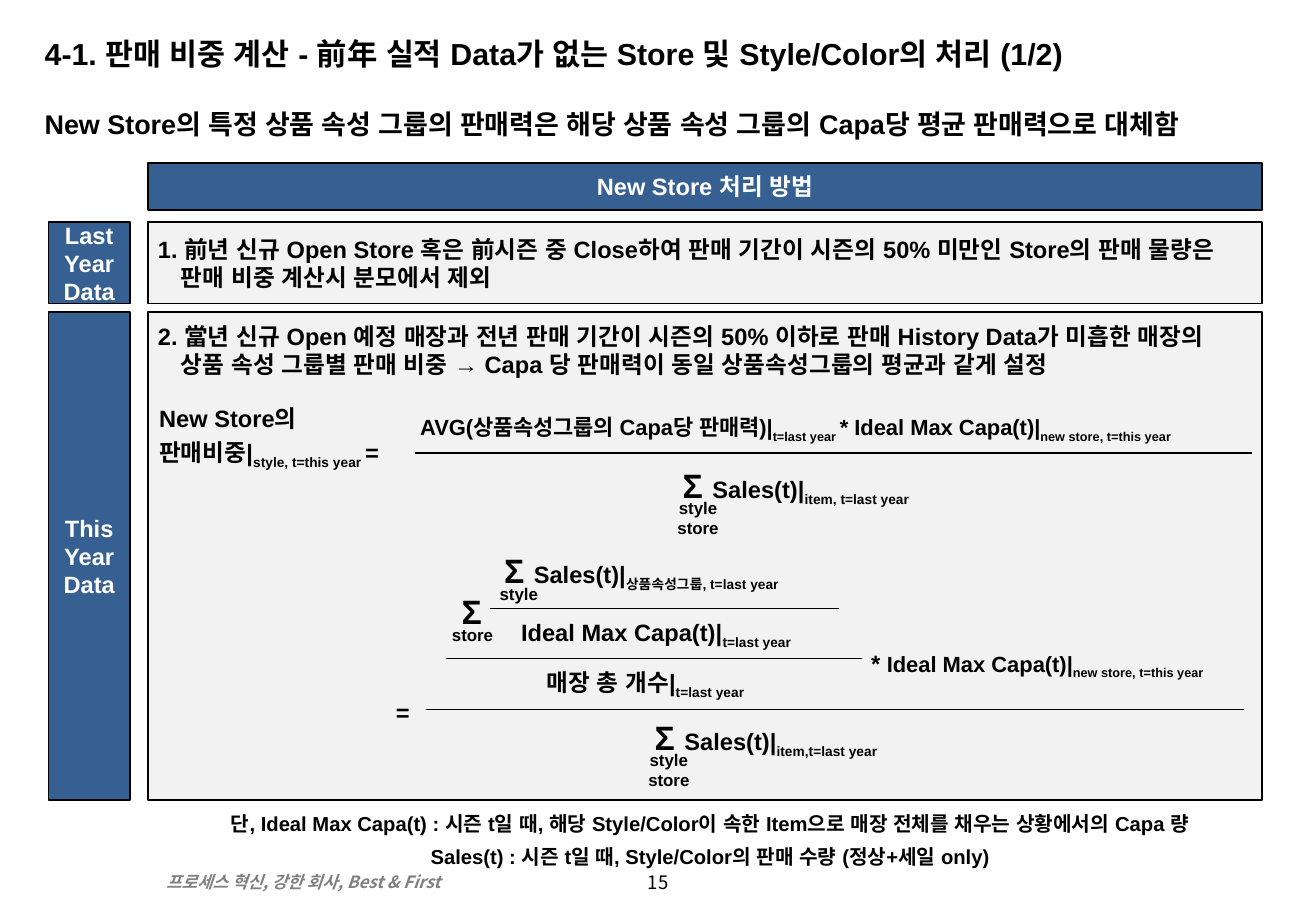
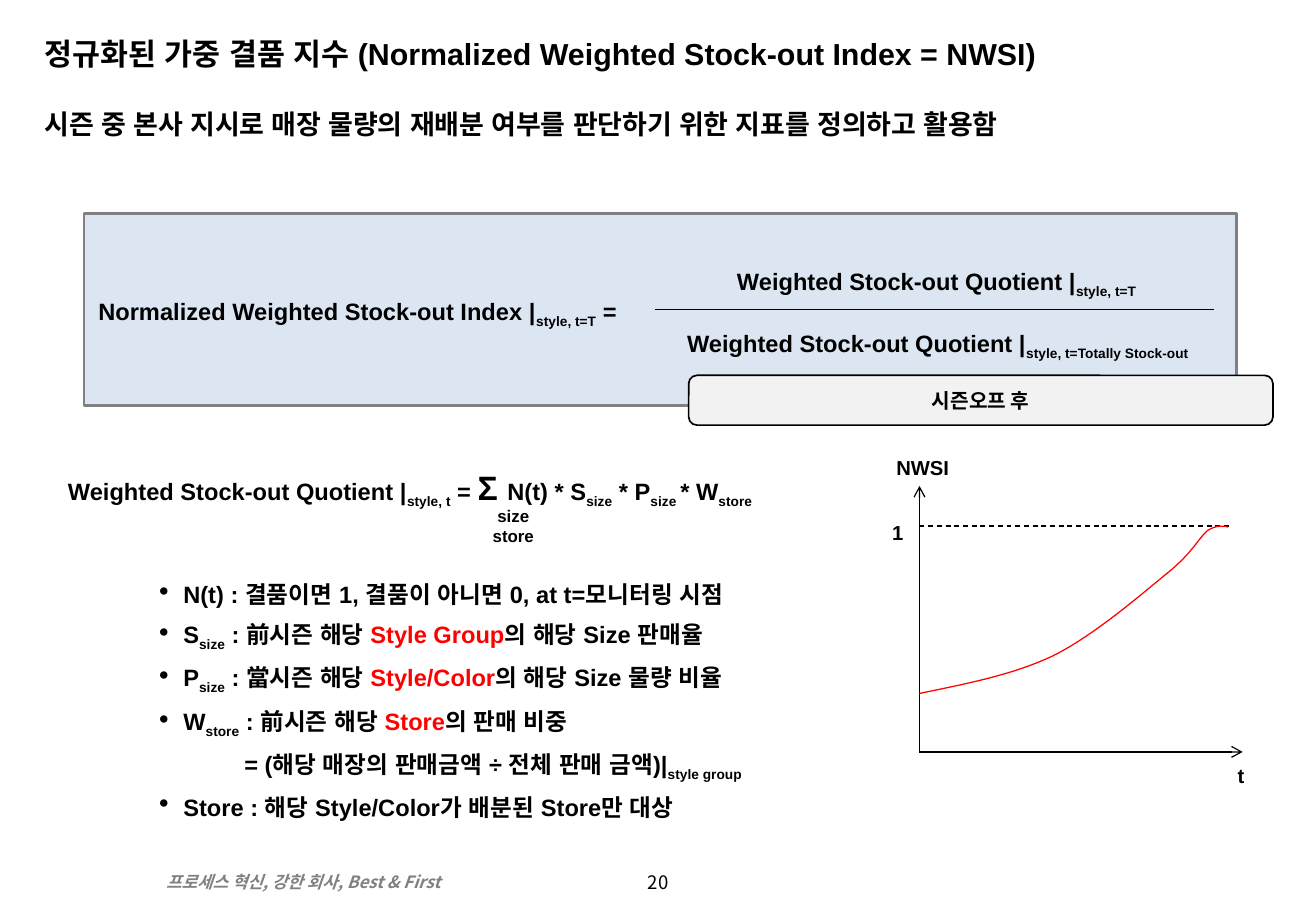
from dataclasses import dataclass
from typing import Any, NamedTuple

from lxml.etree import SubElement
from pptx import Presentation
from pptx.dml.color import RGBColor
from pptx.enum.dml import MSO_LINE_DASH_STYLE as Dash
from pptx.enum.shapes import MSO_CONNECTOR as Connector, MSO_SHAPE as Preset
from pptx.enum.text import MSO_ANCHOR as Anchor, PP_ALIGN as Align
from pptx.oxml.ns import qn
from pptx.util import Pt


@dataclass(frozen=True)
class Theme:
    latin: str = "Arial"
    korean: str = "Noto Sans CJK KR"
    ink: str = "000000"
    paper: str = "FFFFFF"
    navy: str = "376092"
    panel: str = "F2F2F2"
    pale_blue: str = "DCE6F2"
    grey: str = "808080"
    red: str = "FF0000"
    title: float = 18
    lead: float = 16
    body: float = 14
    formula: float = 13
    note: float = 12
    page: float = 11
    small: float = 10
    sigma: float = 20


THEME = Theme()


class Run(NamedTuple):
    text: str
    size: float | None = None
    color: str | None = None
    sub: bool = False


class Para(NamedTuple):
    runs: list[Run]
    left: float = 0
    hanging: float = 0
    bullet: bool = False


class Place(NamedTuple):
    left: float
    top: float
    width: float
    height: float


@dataclass(frozen=True)
class Style:
    size: float = THEME.body
    color: str = THEME.ink
    font: str = THEME.latin
    bold: bool = True
    italic: bool = False
    align: Any = Align.LEFT
    anchor: Any = Anchor.MIDDLE
    insets: tuple[float, float, float, float] = (2.9, 0, 2.9, 0)
    line_spacing: float | None = 1.2
    before: bool = True


WIDE = (7.2, 3.6, 7.2, 3.6)
TIGHT = (3.6, 0, 0, 0)
LABEL = (4.3, 0, 4.3, 0)
EQUATION = Style()
CENTERED = Style(align=Align.CENTER)
LIMITS = Style(THEME.small, align=Align.CENTER, insets=TIGHT, line_spacing=None, before=False)
NOTE = Style(THEME.note, align=Align.CENTER, insets=TIGHT)
TITLE = Style(THEME.title, anchor=Anchor.TOP, insets=WIDE, line_spacing=None, before=False)
LEAD = Style(THEME.lead, anchor=Anchor.TOP, insets=WIDE, line_spacing=None)
BAND = Style(color=THEME.paper, align=Align.CENTER, insets=LABEL, line_spacing=None, before=False)
CALLOUT = Style(THEME.note, font=THEME.korean, align=Align.CENTER, insets=LABEL,
                line_spacing=None, before=False)
RULE = Style(insets=(5.8, 0, 5.8, 0), line_spacing=None, before=False)
TOP_RULE = Style(anchor=Anchor.TOP, insets=(5.8, 5.8, 5.8, 0), line_spacing=None, before=False)
MOTTO = Style(THEME.small, THEME.grey, THEME.korean, italic=True, anchor=Anchor.TOP,
              insets=WIDE, line_spacing=None, before=False)
PAGE = Style(THEME.page, font=THEME.korean, bold=False, align=Align.CENTER, insets=WIDE,
             line_spacing=0.8, before=False)
LIST = Style(anchor=Anchor.TOP)
EQUALS = Style(anchor=Anchor.TOP, insets=WIDE)

EQUATION_HEIGHT = 33.8
HANG = 13.7
BULLET_HANG = 14.4
SIGMA = Run("Σ ", THEME.sigma)


def sub(text: str, size: float | None = None) -> Run:
    return Run(text, size, sub=True)


def apply(target: Any, values: dict[str, Any]) -> None:
    for key, value in values.items():
        setattr(target, key, value)


def lines(*texts: str) -> list[Para]:
    return [Para([Run(text)]) for text in texts]


def write(shape: Any, paras: list[Para], style: Style) -> None:
    frame = shape.text_frame
    sides = ("margin_left", "margin_top", "margin_right", "margin_bottom")
    apply(frame, {"word_wrap": True, "vertical_anchor": style.anchor,
                  **{side: Pt(inset) for side, inset in zip(sides, style.insets)}})
    for index, para in enumerate(paras):
        paragraph = frame.add_paragraph() if index else frame.paragraphs[0]
        apply(paragraph, {"alignment": style.align, "line_spacing": style.line_spacing})
        props = paragraph._p.get_or_add_pPr()
        props.set("marL", str(Pt(para.left)))
        props.set("indent", str(Pt(-para.hanging)))
        if style.before:
            SubElement(SubElement(props, qn("a:spcBef")), qn("a:spcPct")).set("val", "20000")
        if para.bullet:
            SubElement(props, qn("a:buSzPct")).set("val", "120000")
            SubElement(props, qn("a:buChar")).set("char", "•")
        for part in para.runs:
            run = paragraph.add_run()
            run.text = part.text
            apply(run.font, {"size": Pt(part.size or style.size), "bold": style.bold,
                             "italic": style.italic, "name": style.font})
            run.font.color.rgb = RGBColor.from_string(part.color or style.color)
            run_props = run._r.get_or_add_rPr()
            SubElement(run_props, qn("a:ea")).set("typeface", style.font)
            if part.sub:
                run_props.set("baseline", "-25000")


def text(slide: Any, place: Place, paras: list[Para], style: Style) -> None:
    write(slide.shapes.add_textbox(*map(Pt, place)), paras, style)


def equation(slide: Any, left: float, top: float, width: float, runs: list[Run],
             style: Style = EQUATION) -> None:
    text(slide, Place(left, top, width, EQUATION_HEIGHT), [Para(runs)], style)


def limits(slide: Any, left: float, top: float, *names: str) -> None:
    width = 56.2 if len(names) > 1 else 36.7
    text(slide, Place(left, top, width, 12.25 * len(names)), lines(*names), LIMITS)


def outline(shape: Any, color: str, width: float) -> None:
    shape.line.color.rgb = RGBColor.from_string(color)
    shape.line.width = Pt(width)


def panel(slide: Any, place: Place, fill: str, paras: list[Para], style: Style,
          edge: str = THEME.ink, width: float = 1, preset: Any = Preset.RECTANGLE) -> None:
    shape = slide.shapes.add_shape(preset, *map(Pt, place))
    shape.shadow.inherit = False
    shape.fill.solid()
    shape.fill.fore_color.rgb = RGBColor.from_string(fill)
    outline(shape, edge, width)
    if paras:
        write(shape, paras, style)


def line(slide: Any, start: tuple[float, float], end: tuple[float, float],
         arrow: bool = False, dashed: bool = False) -> None:
    stroke = slide.shapes.add_connector(Connector.STRAIGHT, *map(Pt, (*start, *end)))
    outline(stroke, THEME.ink, 0.75)
    if dashed:
        stroke.line.dash_style = Dash.DASH
    props = stroke._element.spPr
    if arrow:
        SubElement(props.find(qn("a:ln")), qn("a:tailEnd")).set("type", "arrow")
    SubElement(props, qn("a:effectLst"))


def curve(slide: Any, knots: list[tuple[float, float]], steps: int = 16) -> None:
    points = []
    for first in range(0, len(knots) - 1, 3):
        segment = knots[first:first + 4]
        for step in range(1, steps + 1):
            t = step / steps
            weights = ((1 - t) ** 3, 3 * t * (1 - t) ** 2, 3 * t * t * (1 - t), t ** 3)
            points.append(tuple(Pt(sum(w * knot[axis] for w, knot in zip(weights, segment)))
                                for axis in (0, 1)))
    builder = slide.shapes.build_freeform(*map(Pt, knots[0]))
    builder.add_line_segments(points, close=False)
    shape = builder.convert_to_shape()
    shape.shadow.inherit = False
    shape.fill.background()
    outline(shape, THEME.red, 0.75)


def new_slide(deck: Any, page: int, title: str, lead: str) -> Any:
    slide = deck.slides.add_slide(deck.slide_layouts[6])
    for place, words, style in (
        (Place(354.2, 513.4, 72, 21.6), str(page), PAGE),
        (Place(91.4, 513.4, 239, 19.4), "프로세스 혁신, 강한 회사, Best & First", MOTTO),
        (Place(19.4, 17.3, 737.3, 33.1), title, TITLE),
        (Place(19.4, 60.5, 753, 59.8), lead, LEAD),
    ):
        text(slide, place, lines(words), style)
    return slide


def new_store_slide(deck: Any) -> None:
    slide = new_slide(
        deck, 15,
        "4-1. 판매 비중 계산 - 前年 실적 Data가 없는 Store 및 Style/Color의 처리 (1/2)",
        "New Store의 특정 상품 속성 그룹의 판매력은 해당 상품 속성 그룹의 Capa당 평균 판매력으로 대체함")
    left, width = 87.8, 660.2
    panel(slide, Place(left, 96.5, width, 28.1), THEME.navy, lines("New Store 처리 방법"), BAND)
    for top, height, year, rule, style in (
        (131.8, 48.2, "Last", "1. 前년 신규 Open Store 혹은 前시즌 중 Close하여 판매 기간이 시즌의 50% "
         "미만인 Store의 판매 물량은 판매 비중 계산시 분모에서 제외", RULE),
        (185, 289.4, "This", "2. 當년 신규 Open 예정 매장과 전년 판매 기간이 시즌의 50% 이하로 판매 "
         "History Data가 미흡한 매장의 상품 속성 그룹별 판매 비중 → Capa 당 판매력이 "
         "동일 상품속성그룹의 평균과 같게 설정", TOP_RULE),
    ):
        panel(slide, Place(28.8, top, 48.2, height), THEME.navy, lines(year, "Year", "Data"), BAND)
        panel(slide, Place(left, top, width, height), THEME.panel,
              [Para([Run(rule)], HANG, HANG)], style)

    last_year = "t=last year"
    small = THEME.formula
    new_capa = [Run("Ideal Max Capa(t)|", small), sub("new store, t=this year", small)]
    sales = [SIGMA, Run("Sales(t)|")]
    for x, y, w, runs in (
        (91.4, 229, 113.8, [Run("New Store의")]),
        (91.4, 250.6, 160.6, [Run("판매비중|"), sub("style, t=this year "), Run("=")]),
        (246.2, 235.4, 507.6, [Run("AVG(상품속성그룹의 Capa당 판매력)|", small),
                               sub(last_year + " ", small), Run("* ", small), *new_capa]),
        (401.8, 268.6, 175.7, [*sales, sub("item, " + last_year)]),
        (295.9, 319, 219.6, [*sales, sub("상품속성그룹, " + last_year)]),
        (385.2, 418.3, 175.7, [*sales, sub("item," + last_year)]),
        (513.4, 375.1, 235.4, [Run("* "), *new_capa]),
        (321.1, 386.6, 169.9, [Run("매장 총 개수|"), sub(last_year)]),
        (306, 357.1, 197.3, [Run("Ideal Max Capa(t)|"), sub(last_year)]),
        (270.7, 342.7, 25.9, [Run("Σ", THEME.sigma)]),
    ):
        equation(slide, x, y, w, runs)
    for x, y, names in ((383.8, 294.5, ("style", "store")), (366.5, 444.2, ("style", "store")),
                        (287.3, 345.6, ("style",)), (259.9, 370.1, ("store",))):
        limits(slide, x, y, *names)
    for start, end, y in ((246.2, 742.3, 268.6), (290.2, 497.5, 360.7),
                          (264.2, 511.2, 390.2), (252.7, 737.3, 420.5)):
        line(slide, (start, y), (end, y))
    text(slide, Place(227.5, 406.8, 24.5, 27.4), lines("="), EQUALS)
    text(slide, Place(101.5, 477.4, 635, 38.2), lines(
        "단, Ideal Max Capa(t) : 시즌 t일 때, 해당 Style/Color이 속한 Item으로 "
        "매장 전체를 채우는 상황에서의 Capa 량",
        "Sales(t) : 시즌 t일 때, Style/Color의 판매 수량 (정상+세일 only)"), NOTE)


def stock_out_slide(deck: Any) -> None:
    slide = new_slide(
        deck, 20, "정규화된 가중 결품 지수 (Normalized Weighted Stock-out Index = NWSI)",
        "시즌 중 본사 지시로 매장 물량의 재배분 여부를 판단하기 위한 지표를 정의하고 활용함")
    quotient = Run("Weighted Stock-out Quotient |")
    panel(slide, Place(49.7, 126.7, 683.3, 113.8), THEME.pale_blue, [], EQUATION, THEME.grey, 1.5)
    for x, y, w, runs, style in (
        (55.4, 167, 338.4, [Run("Normalized Weighted Stock-out Index |"),
                            sub("style, t=T"), Run(" =")], EQUATION),
        (388.1, 185.8, 335.5, [quotient, sub("style, t=Totally Stock-out")], CENTERED),
        (408.2, 149, 293.8, [quotient, sub("style, t=T")], CENTERED),
        (37.4, 270, 472.3, [quotient, sub("style, t"), Run(" = "), SIGMA, Run("N(t) * S"),
                            sub("size"), Run(" * P"), sub("size "), Run("* W"), sub("store")],
         EQUATION),
    ):
        equation(slide, x, y, w, runs, style)
    line(slide, (388.1, 183.6), (719.3, 183.6))
    limits(slide, 274.3, 299.5, "size", "store")

    terms = [[Run("N(t) : 결품이면 1, 결품이 아니면 0, at t=모니터링 시점")]]
    for symbol, index, season, subject, meaning in (
        ("S", "size", "前", "Style Group", "의 해당 Size 판매율"),
        ("P", "size", "當", "Style/Color", "의 해당 Size 물량 비율"),
        ("W", "store", "前", "Store", "의 판매 비중"),
    ):
        terms.append([Run(symbol), sub(index), Run(f" : {season}시즌 해당 "),
                      Run(subject, color=THEME.red), Run(meaning)])
    terms.append([Run("Store : 해당 Style/Color가 배분된 Store만 대상")])
    definitions = [Para(runs, BULLET_HANG, BULLET_HANG, True) for runs in terms]
    definitions.insert(4, Para([Run("= (해당 매장의 판매금액 ÷ 전체 판매 금액)|"),
                                sub("style group")], 50.6))
    text(slide, Place(91.4, 340.6, 412.6, 144.7), definitions, LIST)

    origin = (545, 445.7)
    line(slide, origin, (736.6, 445.7), arrow=True)
    line(slide, origin, (545, 288), arrow=True)
    line(slide, (545, 311.8), (730, 311.8), dashed=True)
    for place, label in ((Place(712.8, 449.3, 41.8, 17.3), "t"),
                         (Place(524.2, 267.8, 41.8, 15.8), "NWSI"),
                         (Place(515.5, 305.3, 29.5, 17.3), "1")):
        text(slide, place, lines(label), NOTE)
    curve(slide, [(545, 411.1), (572.4, 405.4), (599.8, 400.3), (624.2, 388.8),
                  (648.7, 376.6), (676.8, 352.1), (691.9, 339.8),
                  (707, 327.6), (709.9, 319.7), (715.7, 314.6),
                  (722.2, 310.3), (727.9, 312.5), (727.9, 312.5)])
    panel(slide, Place(408.2, 222.5, 346.3, 29.5), THEME.panel, lines("시즌오프 후"), CALLOUT,
          preset=Preset.ROUNDED_RECTANGLE)


def main() -> None:
    deck = Presentation()
    apply(deck, {"slide_width": Pt(780), "slide_height": Pt(540)})
    new_store_slide(deck)
    stock_out_slide(deck)
    deck.save("out.pptx")


if __name__ == "__main__":
    main()
